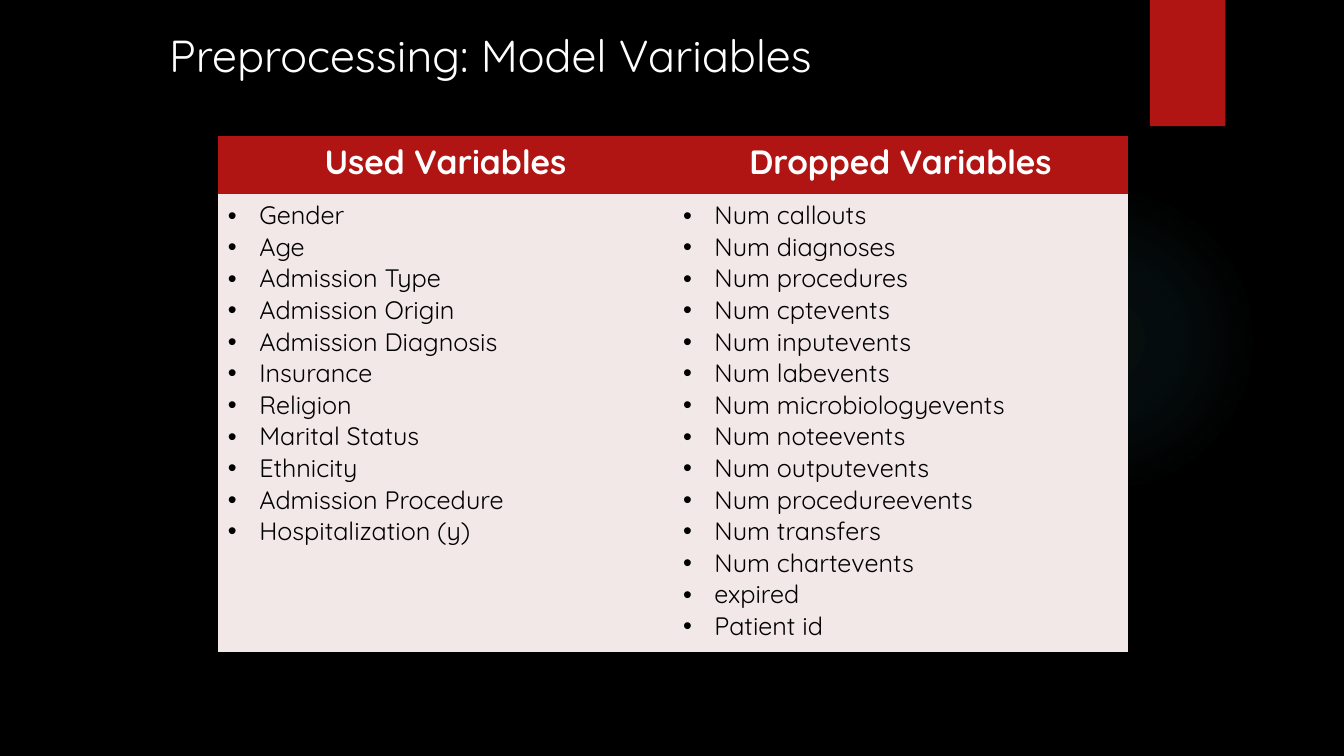
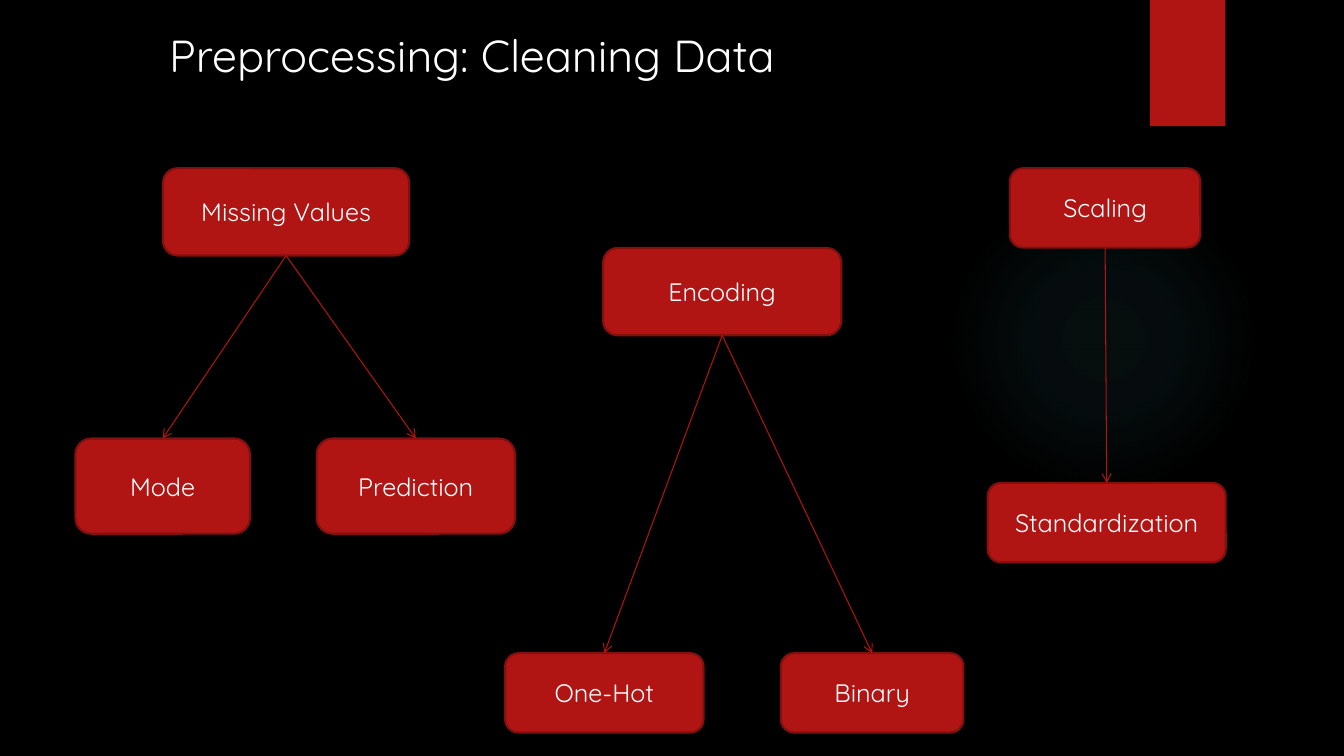
import pptx
import pptx.util
from pptx.dml.color import RGBColor
from pptx.enum.shapes import MSO_CONNECTOR, MSO_SHAPE
from pptx.enum.text import MSO_ANCHOR, MSO_AUTO_SIZE, PP_ALIGN
from pptx.oxml import parse_xml
from pptx.oxml.ns import nsdecls, qn

Cm, Pt = pptx.util.Cm, pptx.util.Pt

FONT = "Quicksand"
BLACK = RGBColor(0x00, 0x00, 0x00)
WHITE = RGBColor(0xFF, 0xFF, 0xFF)
RED = RGBColor(0xB0, 0x15, 0x13)
DARK_RED = RGBColor(0x82, 0x10, 0x0E)
PALE_RED = RGBColor(0xF2, 0xE8, 0xE7)
GLOW = RGBColor(0x50, 0xB9, 0xC1)

GLOW_STOPS = [(0, 7), (36, 6), (69, 0)]  # position and opacity, in percent
NO_GRID_STYLE = "{2D5ABB26-0587-4C30-8999-92F81FD0307C}"

VARIABLES_TITLE = "Preprocessing: Model Variables"
VARIABLES = {
    "Used Variables": [
        "Gender", "Age", "Admission Type", "Admission Origin",
        "Admission Diagnosis", "Insurance", "Religion", "Marital Status",
        "Ethnicity", "Admission Procedure", "Hospitalization (y)",
    ],
    "Dropped Variables": [
        "Num callouts", "Num diagnoses", "Num procedures", "Num cptevents",
        "Num inputevents", "Num labevents", "Num microbiologyevents",
        "Num noteevents", "Num outputevents", "Num procedureevents",
        "Num transfers", "Num chartevents", "expired", "Patient id",
    ],
}

CLEANING_TITLE = "Preprocessing: Cleaning Data"
# Step: left, top, width, height in cm
STEPS = {
    "Missing Values": (4.11, 4.24, 6.2, 2.2),
    "Mode": (1.9, 11.05, 4.4, 2.4),
    "Prediction": (7.98, 11.05, 5, 2.4),
    "Encoding": (15.2, 6.25, 6, 2.2),
    "One-Hot": (12.73, 16.46, 5, 2),
    "Binary": (19.68, 16.46, 4.6, 2),
    "Scaling": (25.45, 4.24, 4.8, 2),
    "Standardization": (24.89, 12.17, 6, 2),
}
METHODS = {
    "Missing Values": ["Mode", "Prediction"],
    "Encoding": ["One-Hot", "Binary"],
    "Scaling": ["Standardization"],
}


def write(paragraph, text, size, color, align, bold=False):
    paragraph.alignment = align
    run = paragraph.add_run()
    run.text = text
    run.font.name = FONT
    run.font.size = Pt(size)
    run.font.bold = bold
    run.font.color.rgb = color


def add_bullet(paragraph):
    indent = Cm(0.79)
    properties = paragraph._p.get_or_add_pPr()
    properties.set("marL", str(indent))
    properties.set("indent", str(-indent))
    properties.append(parse_xml(f'<a:buFont {nsdecls("a")} typeface="Arial"/>'))
    properties.append(parse_xml(f'<a:buChar {nsdecls("a")} char="•"/>'))


def add_block(slide, kind, place, fill):
    block = slide.shapes.add_shape(kind, *map(Cm, place))
    block.shadow.inherit = False
    block.fill.solid()
    block.fill.fore_color.rgb = fill
    block.line.fill.background()
    return block


def decorate_layout(layout, slide):
    """Draw the glow and the red band on the slide, then move them to its layout."""
    glow = add_block(slide, MSO_SHAPE.OVAL, (23.9, 4.65, 7.82, 7.82), GLOW)
    stops = "".join(
        f'<a:gs pos="{position * 1000}"><a:srgbClr val="{GLOW}">'
        f'<a:alpha val="{opacity * 1000}"/></a:srgbClr></a:gs>'
        for position, opacity in GLOW_STOPS)
    gradient = parse_xml(
        f'<a:gradFill {nsdecls("a")} rotWithShape="1"><a:gsLst>{stops}</a:gsLst>'
        '<a:path path="circle"><a:fillToRect l="50000" t="50000" r="50000" '
        'b="50000"/></a:path></a:gradFill>')
    properties = glow.element.spPr
    properties.replace(properties.find(qn("a:solidFill")), gradient)

    band = add_block(slide, MSO_SHAPE.RECTANGLE, (28.98, 0, 1.9, 3.18), RED)
    band.element.spPr.find(qn("a:effectLst")).append(parse_xml(
        f'<a:outerShdw {nsdecls("a")} blurRad="{Pt(3)}" dist="{Pt(2)}" '
        f'dir="5400000" rotWithShape="0"><a:srgbClr val="{BLACK}">'
        '<a:alpha val="45000"/></a:srgbClr></a:outerShdw>'))

    for decoration in (glow, band):
        layout.shapes.element.append(decoration.element)


def style_layout(layout):
    layout.background.fill.solid()
    layout.background.fill.fore_color.rgb = BLACK
    title = layout.placeholders[0]
    title.left, title.top, title.width, title.height = map(Cm, (4.01, 0.56, 22, 1.63))


def add_titled_slide(deck, layout, heading):
    slide = deck.slides.add_slide(layout)
    frame = slide.shapes.title.text_frame
    frame.vertical_anchor = MSO_ANCHOR.TOP
    frame.auto_size = MSO_AUTO_SIZE.NONE
    write(frame.paragraphs[0], heading, 32, WHITE, PP_ALIGN.LEFT)
    return slide


def fill_cell(cell, color):
    cell.fill.solid()
    cell.fill.fore_color.rgb = color


def add_variables_table(slide):
    column_width, row_heights = 11.47, (1.47, 11.53)
    frame = slide.shapes.add_table(
        2, len(VARIABLES), Cm(5.49), Cm(3.43),
        Cm(column_width * len(VARIABLES)), Cm(sum(row_heights)))
    next(frame.element.iter(qn("a:tableStyleId"))).text = NO_GRID_STYLE
    table = frame.table
    for row, height in zip(table.rows, row_heights):
        row.height = Cm(height)
    for column, (heading, names) in enumerate(VARIABLES.items()):
        table.columns[column].width = Cm(column_width)
        header, body = table.cell(0, column), table.cell(1, column)
        fill_cell(header, RED)
        fill_cell(body, PALE_RED)
        write(header.text_frame.paragraphs[0], heading, 24, WHITE,
              PP_ALIGN.CENTER, bold=True)
        for index, name in enumerate(names):
            frame = body.text_frame
            paragraph = frame.add_paragraph() if index else frame.paragraphs[0]
            write(paragraph, name, 18, BLACK, PP_ALIGN.LEFT)
            add_bullet(paragraph)


def add_step(slide, label, place):
    step = add_block(slide, MSO_SHAPE.ROUNDED_RECTANGLE, place, RED)
    step.line.color.rgb = DARK_RED
    step.line.width = Pt(1.5)
    step.text_frame.vertical_anchor = MSO_ANCHOR.MIDDLE
    write(step.text_frame.paragraphs[0], label, 18, WHITE, PP_ALIGN.CENTER)
    return step


def add_arrow(slide, upper, lower):
    arrow = slide.shapes.add_connector(MSO_CONNECTOR.STRAIGHT, 0, 0, 0, 0)
    arrow.begin_connect(upper, 2)
    arrow.end_connect(lower, 0)
    arrow.line.color.rgb = RED
    arrow.line.width = Pt(0.75)
    properties = arrow.element.spPr
    properties.find(qn("a:ln")).append(
        parse_xml(f'<a:tailEnd {nsdecls("a")} type="arrow"/>'))
    properties.append(parse_xml(f'<a:effectLst {nsdecls("a")}/>'))


def add_cleaning_trees(slide):
    steps = {label: add_step(slide, label, place) for label, place in STEPS.items()}
    for task, methods in METHODS.items():
        for method in methods:
            add_arrow(slide, steps[task], steps[method])


def main():
    deck = pptx.Presentation()
    deck.slide_width, deck.slide_height = Cm(33.87), Cm(19.05)
    layout = deck.slide_layouts[5]
    style_layout(layout)

    variables = add_titled_slide(deck, layout, VARIABLES_TITLE)
    decorate_layout(layout, variables)
    add_variables_table(variables)

    cleaning = add_titled_slide(deck, layout, CLEANING_TITLE)
    add_cleaning_trees(cleaning)

    deck.save("out.pptx")


if __name__ == "__main__":
    main()
